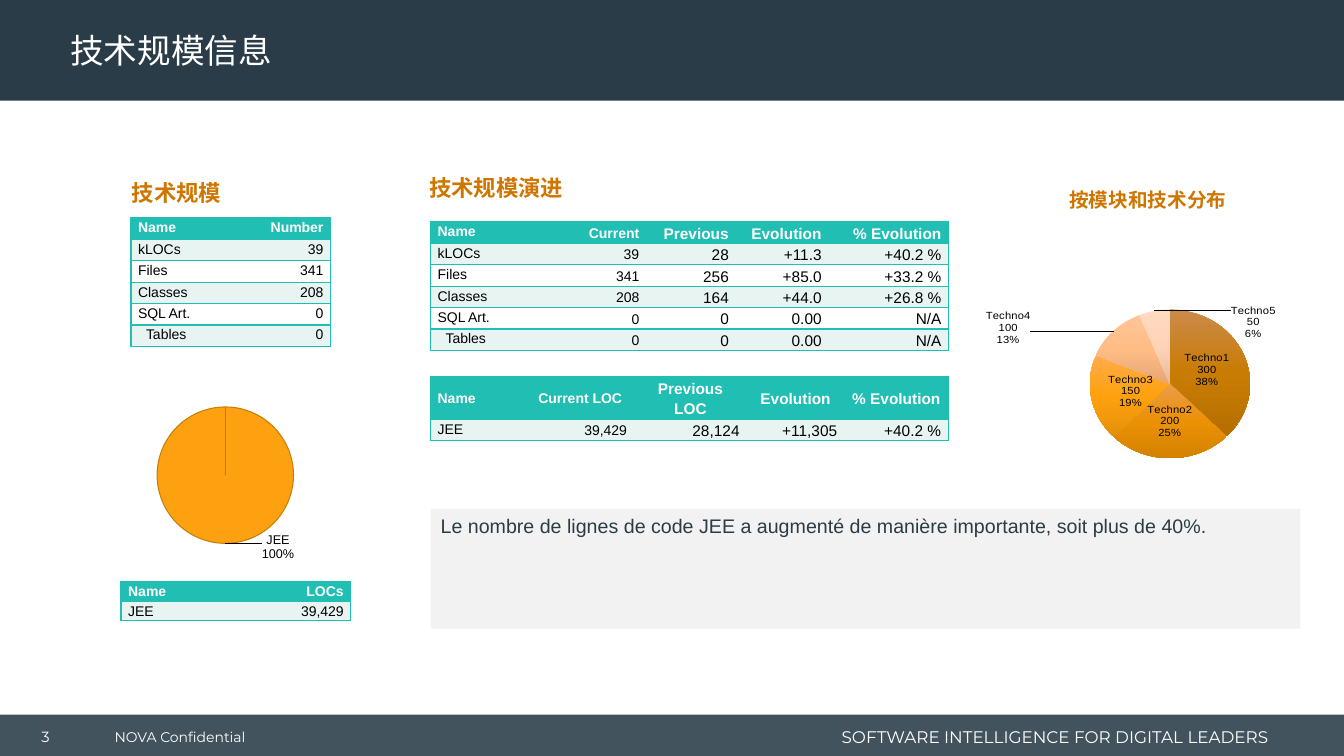
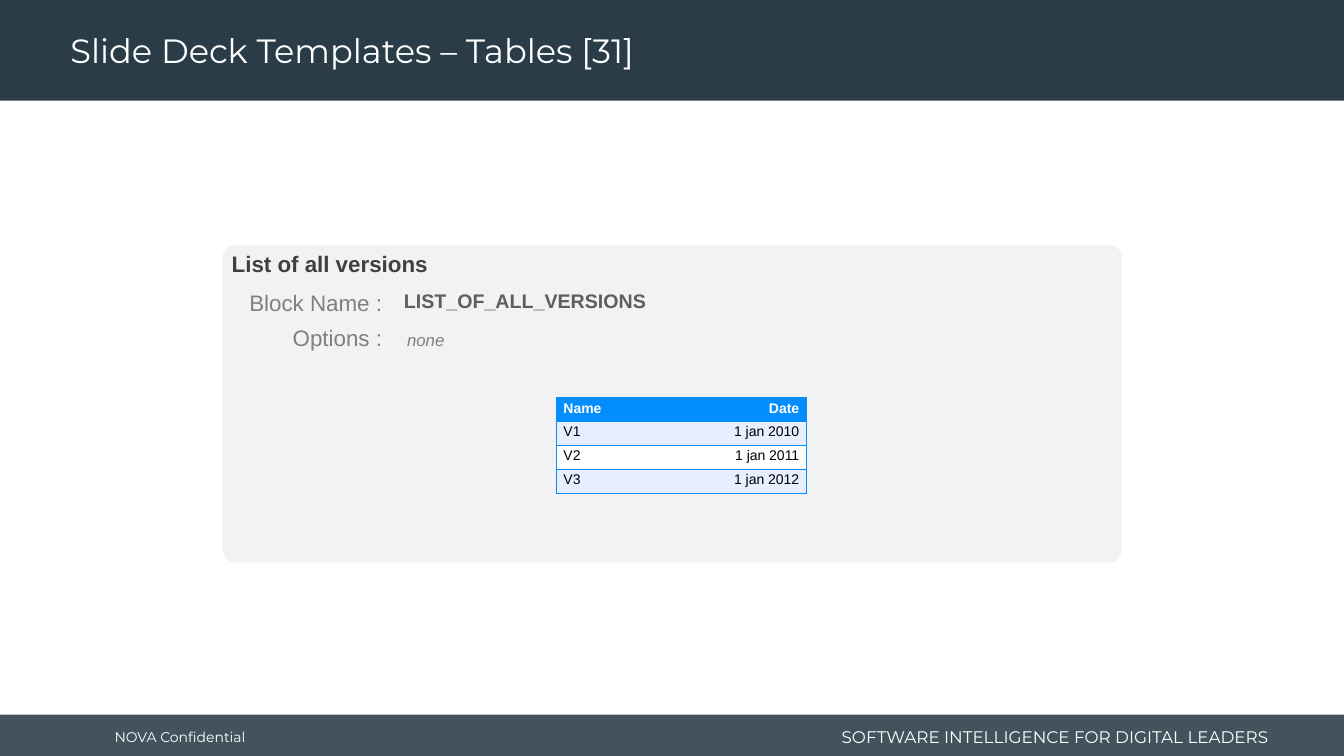
from lxml import etree
from pptx import Presentation
from pptx.chart.data import CategoryChartData
from pptx.dml.color import RGBColor
from pptx.enum.chart import XL_CHART_TYPE
from pptx.enum.shapes import MSO_SHAPE
from pptx.enum.text import MSO_ANCHOR, MSO_AUTO_SIZE, PP_ALIGN
from pptx.oxml import parse_xml
from pptx.oxml.ns import nsdecls, qn
from pptx.util import Cm, Pt

LEFT, CENTER, RIGHT, JUSTIFY = PP_ALIGN.LEFT, PP_ALIGN.CENTER, PP_ALIGN.RIGHT, PP_ALIGN.JUSTIFY
TOP, MIDDLE = MSO_ANCHOR.TOP, MSO_ANCHOR.MIDDLE
RECTANGLE, ROUNDED = MSO_SHAPE.RECTANGLE, MSO_SHAPE.ROUNDED_RECTANGLE
PIE = XL_CHART_TYPE.PIE

SLIDE_WIDTH, SLIDE_HEIGHT = 33.87, 19.05
BODY_FONT, BRAND_FONT = "Arial", "Montserrat"
NO_TABLE_STYLE = "{2D5ABB26-0587-4C30-8999-92F81FD0307C}"
COLORS = {
    "band": "293C47", "white": "FFFFFF", "black": "000000", "panel": "F2F2F2",
    "heading": "CF7600", "dark": "404040", "code": "5E5E5E", "muted": "808080",
    "teal": "20BEB3", "teal_light": "E8F4F2", "blue": "048EFD", "blue_light": "E7EEFF",
    "slice": "FDA110", "slice_edge": "C87D05",
}
# Top, middle and bottom colour of each slice
SLICE_GRADIENTS = [
    ("CB8A4B", "C97C03", "B56F00"), ("EA9C4B", "EB9104", "D48200"),
    ("FFAB4C", "FFA10E", "E5900A"), ("FFC597", "FFBC85", "E5A774"),
    ("FFDBC2", "FFD3B5", "E5BB9F"),
]


def color(name):
    return RGBColor.from_string(COLORS[name])


def style(paragraph, size, color_name, font=BODY_FONT, align=LEFT, bold=False, italic=False):
    paragraph.alignment = align
    paragraph.font.name = font
    paragraph.font.size = Pt(size)
    paragraph.font.bold = bold
    paragraph.font.italic = italic
    paragraph.font.color.rgb = color(color_name)


def add_text(shapes, box, text, size, color_name, anchor=TOP, **options):
    shape = shapes.add_textbox(*map(Cm, box))
    frame = shape.text_frame
    frame.word_wrap = True
    frame.vertical_anchor = anchor
    frame.text = text
    style(frame.paragraphs[0], size, color_name, **options)
    return shape


def add_panel(shapes, kind, box, color_name, opacity=None):
    shape = shapes.add_shape(kind, *map(Cm, box))
    shape.shadow.inherit = False
    shape.fill.solid()
    shape.fill.fore_color.rgb = color(color_name)
    shape.line.fill.background()
    if opacity is not None:
        fill_color = shape.fill._xPr.find(f".//{qn('a:srgbClr')}")
        etree.SubElement(fill_color, qn("a:alpha"), val=str(opacity * 1000))
    return shape


def build_master(presentation, slide):
    """Draw the bands and footer texts, then hand them to the slide master."""
    shapes = slide.shapes
    shared = [
        add_panel(shapes, RECTANGLE, (0, 18.01, SLIDE_WIDTH, 1.04), "band", opacity=88),
        add_panel(shapes, RECTANGLE, (0, 0, SLIDE_WIDTH, 2.54), "band"),
        add_text(shapes, (2.64, 18.06, 6, 1), "NOVA Confidential", 10, "white",
                 anchor=MIDDLE, font=BRAND_FONT),
        add_text(shapes, (20.22, 18.16, 12, 0.8), "SOFTWARE INTELLIGENCE FOR DIGITAL LEADERS",
                 12, "white", anchor=MIDDLE, font=BRAND_FONT, align=RIGHT),
    ]
    master_tree = presentation.slide_master.shapes._spTree
    for position, shape in enumerate(shared, start=2):
        master_tree.insert(position, shape._element)


def place(shape, box):
    shape.left, shape.top, shape.width, shape.height = map(Cm, box)


def set_title(slide, text):
    title = slide.shapes.title
    place(title, (1.52, 0.1, 24.33, 2.44))
    title.text_frame.text = text
    title.text_frame.vertical_anchor = MIDDLE
    paragraph = title.text_frame.paragraphs[0]
    style(paragraph, 24, "white", font=BRAND_FONT)
    paragraph.line_spacing = 0.9


def set_comment(slide, text):
    body = slide.placeholders[1]
    place(body, (10.85, 12.82, 21.92, 3.02))
    body.fill.solid()
    body.fill.fore_color.rgb = color("panel")
    frame = body.text_frame
    frame.text = text
    frame.auto_size = MSO_AUTO_SIZE.NONE
    paragraph = frame.paragraphs[0]
    style(paragraph, 14, "band", align=JUSTIFY)
    paragraph.space_before = Pt(12)
    properties = paragraph._p.get_or_add_pPr()
    properties.set("marL", "0")
    properties.set("indent", "0")
    properties.insert_element_before(parse_xml(f"<a:buNone {nsdecls('a')}/>"),
                                     "a:tabLst", "a:defRPr", "a:extLst")


def set_borders(cell, sides, color_name):
    properties = cell._tc.get_or_add_tcPr()
    for position, side in enumerate(sides):
        properties.insert(position, parse_xml(
            f'<a:ln{side} {nsdecls("a")} w="12700"><a:solidFill>'
            f'<a:srgbClr val="{COLORS[color_name]}"/></a:solidFill></a:ln{side}>'))


def add_table(slide, left, top, widths, row_height, rows, accent="teal", sizes=(10, 10),
              header_align=RIGHT, value_anchor=TOP, name_header_anchor=TOP, indented=()):
    """Add a banded table: names on the left, right-aligned values after them."""
    frame = slide.shapes.add_table(len(rows), len(widths), Cm(left), Cm(top),
                                   Cm(sum(widths)), Cm(row_height * len(rows)))
    table = frame.table
    table._tbl.tblPr.find(qn("a:tableStyleId")).text = NO_TABLE_STYLE
    for column, width in zip(table.columns, widths):
        column.width = Cm(width)
    for row_index, values in enumerate(rows):
        table.rows[row_index].height = Cm(row_height)
        header = row_index == 0
        fill = accent if header else f"{accent}_light" if row_index % 2 else "white"
        for column_index, text in enumerate(values):
            first = column_index == 0
            cell = table.cell(row_index, column_index)
            cell.margin_top = cell.margin_bottom = 0
            cell.margin_left = Cm(0.38 if first and text in indented else 0.18)
            cell.margin_right = Cm(0.18)
            name_anchor = name_header_anchor if header else TOP
            cell.vertical_anchor = name_anchor if first else value_anchor
            cell.fill.solid()
            cell.fill.fore_color.rgb = color(fill)
            cell.text = text
            paragraph = cell.text_frame.paragraphs[0]
            paragraph.line_spacing = 1.15
            style(paragraph, sizes[column_index], "white" if header else "black", bold=header,
                  align=LEFT if first else header_align if header else RIGHT)
            sides = ["L"] * first + ["R"] * (column_index == len(widths) - 1) + ["T", "B"]
            set_borders(cell, sides, accent)


def layout_xml(**values):
    entries = "".join(f'<c:{key} val="{value}"/>' for key, value in values.items())
    return f"<c:layout><c:manualLayout>{entries}</c:manualLayout></c:layout>"


def label_xml(position, show_value):
    return (f'<c:dLblPos val="{position}"/><c:showLegendKey val="0"/>'
            f'<c:showVal val="{int(show_value)}"/><c:showCatName val="1"/>'
            '<c:showSerName val="0"/><c:showPercent val="1"/><c:showBubbleSize val="0"/>'
            "<c:separator>\n</c:separator>")


def add_pie(slide, box, plot_area, data, font_size, show_value, moved_labels):
    """Add a pie; moved_labels maps a slice to the shift of its outer label."""
    chart_data = CategoryChartData(number_format="#,##0")
    chart_data.categories = list(data)
    chart_data.add_series("Series 1", list(data.values()))
    chart = slide.shapes.add_chart(PIE, *map(Cm, box), chart_data).chart
    chart.has_legend = chart.has_title = False
    chart.font.name = BODY_FONT
    chart.font.size = Pt(font_size)
    chart.font.color.rgb = color("black")
    plot = chart.plots[0]
    plot.vary_by_categories = True

    # Plot position, as shares of the chart frame
    area = chart._chartSpace.chart.plotArea
    for old_layout in area.findall(qn("c:layout")):
        area.remove(old_layout)
    x, y, w, h = plot_area
    area.insert(0, parse_xml(layout_xml(
        layoutTarget="inner", xMode="edge", yMode="edge", x=x, y=y, w=w, h=h
    ).replace("<c:layout>", f"<c:layout {nsdecls('c')}>")))

    # Labels inside the slices, apart from the moved ones
    moved = "".join(
        f'<c:dLbl><c:idx val="{index}"/>{layout_xml(x=dx, y=dy)}'
        f'{label_xml("outEnd", show_value)}</c:dLbl>'
        for index, (dx, dy) in moved_labels.items())
    labels = parse_xml(f'<c:dLbls {nsdecls("c")}>{moved}{label_xml("ctr", show_value)}'
                       '<c:showLeaderLines val="1"/></c:dLbls>')
    series = plot.series[0]
    series._element.find(qn("c:cat")).addprevious(labels)
    return series


def fill_gradients(series, gradients):
    for index in range(len(gradients)):
        point_format = series.points[index].format
        point_format.fill.gradient()
        point_format.fill.gradient_angle = 270
        point_format.line.fill.background()
    for stops, shades in zip(series._element.iter(qn("a:gsLst")), gradients):
        for stop in list(stops):
            stops.remove(stop)
        for position, shade in zip((0, 50000, 100000), shades):
            stop = etree.SubElement(stops, qn("a:gs"), pos=str(position))
            etree.SubElement(stop, qn("a:srgbClr"), val=shade)


def build_size_slide(slide):
    set_title(slide, "技术规模信息")
    set_comment(slide, "Le nombre de lignes de code JEE a augmenté de manière importante, "
                       "soit plus de 40%.")
    add_text(slide.shapes, (0.23, 18.06, 1.83, 1), "3", 10.5, "white",
             anchor=MIDDLE, font=BRAND_FONT, align=CENTER)
    for box, text, size in [((3.07, 4.39, 5.74, 0.94), "技术规模", 16),
                            ((10.57, 4.27, 8.53, 0.94), "技术规模演进", 16),
                            ((26.7, 4.62, 4.95, 0.86), "按模块和技术分布", 14)]:
        add_text(slide.shapes, box, text, size, "heading", bold=True)

    # Current size
    names = ["kLOCs", "Files", "Classes", "SQL Art.", "Tables"]
    current = ["39", "341", "208", "0", "0"]
    add_table(slide, 3.3, 5.49, (2.95, 2.08), 0.54,
              [("Name", "Number"), *zip(names, current)], indented=("Tables",))
    add_table(slide, 3.05, 14.66, (3.4, 2.39), 0.47, [("Name", "LOCs"), ("JEE", "39,429")])
    pie = add_pie(slide, (3.15, 9.04, 5.54, 6.02), (0.146, 0.032, 0.621, 0.911),
                  {"JEE": 100}, 9, False, {0: (0.24, -0.07)})
    point_format = pie.points[0].format
    point_format.fill.solid()
    point_format.fill.fore_color.rgb = color("slice")
    point_format.line.color.rgb = color("slice_edge")
    point_format.line.width = Pt(0.75)

    # Evolution
    wide = {"sizes": (10, 10, 11, 11, 11), "value_anchor": MIDDLE}
    previous = ["28", "256", "164", "0", "0"]
    change = ["+11.3", "+85.0", "+44.0", "0.00", "0.00"]
    percent = ["+40.2 %", "+33.2 %", "+26.8 %", "N/A", "N/A"]
    add_table(slide, 10.85, 5.59, (3.18, 2.26, 2.26, 2.34, 3.02), 0.54,
              [("Name", "Current", "Previous", "Evolution", "% Evolution"),
               *zip(names, current, previous, change, percent)],
              indented=("Tables",), **wide)
    add_table(slide, 10.85, 9.49, (2.41, 2.72, 2.84, 2.46, 2.62), 0.54,
              [("Name", "Current LOC", "Previous LOC", "Evolution", "% Evolution"),
               ("JEE", "39,429", "28,124", "+11,305", "+40.2 %")],
              header_align=CENTER, name_header_anchor=MIDDLE, **wide)

    # Distribution by technology
    sizes = {f"Techno{number}": size
             for number, size in enumerate((300, 200, 150, 100, 50), start=1)}
    pie = add_pie(slide, (24.46, 6.81, 8.59, 4.88), (0.35, 0.14, 0.47, 0.83),
                  sizes, 8, True, {3: (-0.23, 0.1), 4: (0.36, 0.19)})
    fill_gradients(pie, SLICE_GRADIENTS)


def build_versions_slide(slide):
    set_title(slide, "Slide Deck Templates – Tables [31]")
    shapes = slide.shapes.add_group_shape().shapes
    panel = add_panel(shapes, ROUNDED, (5.61, 6.17, 22.66, 8), "panel")
    panel.adjustments[0] = 0.04
    add_text(shapes, (5.59, 6.17, 22.4, 0.94), "List of all versions", 16, "dark", bold=True)
    for top, text in [(7.16, "Block Name :"), (8.05, "Options :")]:
        add_text(shapes, (5.8, top, 4.08, 0.94), text, 16, "muted", align=RIGHT)
    add_text(shapes, (9.93, 7.16, 18, 0.86), "LIST_OF_ALL_VERSIONS", 14, "code", bold=True)
    add_text(shapes, (10.01, 8.18, 18, 0.76), "none", 12, "muted", italic=True)
    add_table(slide, 14.02, 10.03, (3.68, 2.62), 0.6,
              [("Name", "Date"), ("V1", "1 jan 2010"), ("V2", "1 jan 2011"),
               ("V3", "1 jan 2012")], accent="blue")


def main():
    presentation = Presentation()
    presentation.slide_width, presentation.slide_height = Cm(SLIDE_WIDTH), Cm(SLIDE_HEIGHT)
    layouts = presentation.slide_layouts
    size_slide = presentation.slides.add_slide(layouts.get_by_name("Title and Content"))
    build_master(presentation, size_slide)
    build_size_slide(size_slide)
    build_versions_slide(presentation.slides.add_slide(layouts.get_by_name("Title Only")))
    presentation.save("out.pptx")


if __name__ == "__main__":
    main()
